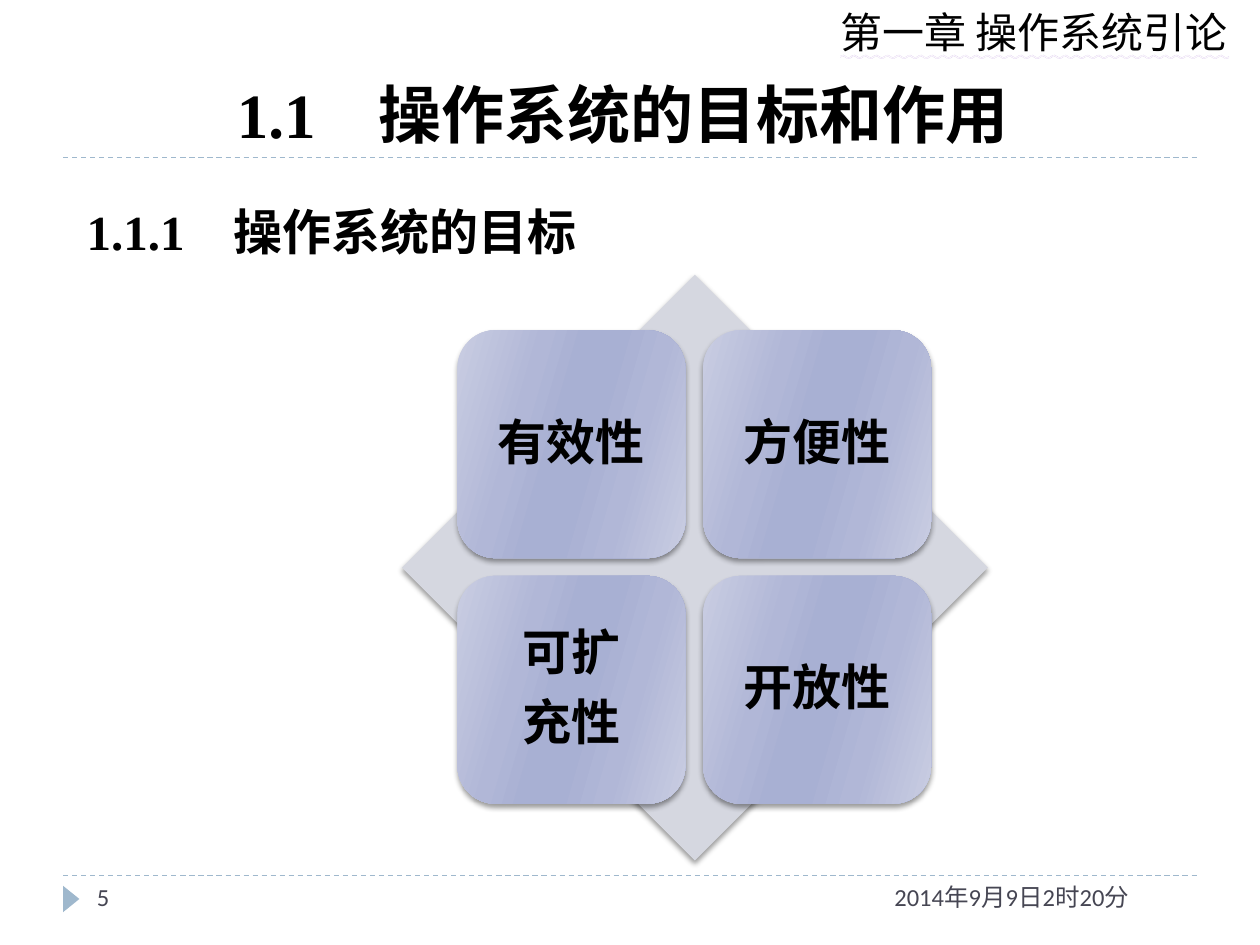
from itertools import product

from pptx import Presentation
from pptx.dml.color import RGBColor
from pptx.enum.dml import MSO_LINE_DASH_STYLE as Dash
from pptx.enum.shapes import MSO_CONNECTOR, MSO_SHAPE as Shape
from pptx.enum.text import (
    MSO_ANCHOR as Anchor,
    MSO_AUTO_SIZE as AutoSize,
    MSO_TEXT_UNDERLINE_TYPE as Underline,
    PP_ALIGN as Align,
)
from pptx.oxml import parse_xml
from pptx.oxml.ns import nsdecls, qn
from pptx.util import Inches, Pt

COLORS = {
    "ink": "000000", "footer": "464653", "rule": "9FB8CD", "diamond": "D5D7E0",
    "edge": "C9CDE2", "mid": "B1B7D7", "core": "A8B0D3", "wave": "CDB0E6",
}
TILE_STOPS = [(0, "edge"), (30, "mid"), (45, "core"),
              (55, "core"), (73, "mid"), (100, "edge")]
FORMATS = {
    "chapter": {"size": Pt(24), "name": "Calibri", "underline": Underline.WAVY_DOUBLE_LINE},
    "number": {"size": Pt(36), "name": "Times New Roman", "bold": True},
    "heading": {"size": Pt(36), "name": "TeX Gyre Bonum", "bold": True},
    "section": {"size": Pt(28), "name": "Times New Roman", "bold": True},
    "goal": {"size": Pt(28), "name": "Calibri", "bold": True},
    "footer": {"size": Pt(14), "name": "Calibri"},
}
GOAL_PARAGRAPH = {"alignment": Align.CENTER, "line_spacing": 0.9, "space_after": Pt(9.8)}
GOAL_FRAME = {"word_wrap": True, "vertical_anchor": Anchor.MIDDLE,
              **{f"margin_{side}": Inches(0.12) for side in ("left", "top", "right", "bottom")}}


def apply(target, values):
    for attribute, value in values.items():
        setattr(target, attribute, value)


class SlideBuilder:
    """Holds the style and the slide being built."""

    def __init__(self, slide):
        self.slide = slide

    def color(self, key):
        return RGBColor.from_string(COLORS[key])

    def run(self, paragraph, words, style, color="ink"):
        run = paragraph.add_run()
        run.text = words
        apply(run.font, FORMATS[style])
        run.font.color.rgb = self.color(color)
        return run

    def title(self, box, parts):
        title = self.slide.shapes.title
        apply(title, dict(zip(("left", "top", "width", "height"), map(Inches, box))))
        apply(title.text_frame, {"auto_size": AutoSize.NONE, "word_wrap": True,
                                 "vertical_anchor": Anchor.BOTTOM})
        heading = title.text_frame.paragraphs[0]
        heading.alignment = Align.CENTER
        for words, style in parts:
            self.run(heading, words, style)

    def text(self, box, words, style, color="ink"):
        frame = self.slide.shapes.add_textbox(*map(Inches, box)).text_frame
        frame.word_wrap = True
        return self.run(frame.paragraphs[0], words, style, color)

    def wave(self, run):
        run.font._element.find(qn("a:latin")).addprevious(parse_xml(
            f'<a:uFill {nsdecls("a")}><a:solidFill><a:srgbClr val="{COLORS["wave"]}"/>'
            '</a:solidFill></a:uFill>'))

    def rule(self, y):
        rule = self.slide.shapes.add_connector(
            MSO_CONNECTOR.STRAIGHT, Inches(0.5), Inches(y), Inches(9.5), Inches(y))
        apply(rule.line, {"width": Pt(0.75), "dash_style": Dash.DASH})
        rule.line.color.rgb = self.color("rule")
        rule._element.spPr.append(parse_xml(f'<a:effectLst {nsdecls("a")}/>'))

    def shape(self, preset, box, color, rotation=0):
        shape = self.slide.shapes.add_shape(preset, *map(Inches, box))
        shape.rotation = rotation
        shape.shadow.inherit = False
        shape.fill.solid()
        shape.fill.fore_color.rgb = self.color(color)
        shape.line.fill.background()
        return shape

    def shadow(self, shape):
        shape._element.spPr.find(qn("a:effectLst")).append(parse_xml(
            f'<a:outerShdw {nsdecls("a")} blurRad="{Pt(3)}" dist="{Pt(2)}" dir="5400000" '
            'rotWithShape="0"><a:srgbClr val="000000"><a:alpha val="40000"/></a:srgbClr>'
            '</a:outerShdw>'))

    def tile(self, box, lines):
        tile = self.shape(Shape.ROUNDED_RECTANGLE, box, "core")
        self.shadow(tile)
        tile.fill.gradient()
        tile.fill.gradient_angle = 344
        stops = tile._element.spPr.find(".//" + qn("a:gsLst"))
        for stop in list(stops):
            stops.remove(stop)
        for percent, key in TILE_STOPS:
            stops.append(parse_xml(
                f'<a:gs {nsdecls("a")} pos="{percent * 1000}">'
                f'<a:srgbClr val="{COLORS[key]}"/></a:gs>'))
        frame = tile.text_frame
        apply(frame, GOAL_FRAME)
        for index, words in enumerate(lines):
            paragraph = frame.add_paragraph() if index else frame.paragraphs[0]
            apply(paragraph, GOAL_PARAGRAPH)
            self.run(paragraph, words, "goal")


def main():
    deck = Presentation()
    apply(deck, {"slide_width": Inches(10), "slide_height": Inches(7.5)})
    builder = SlideBuilder(deck.slides.add_slide(deck.slide_layouts[5]))

    for y in (6.95, 1.25):
        builder.rule(y)
    builder.shape(Shape.ISOSCELES_TRIANGLE, (0.46, 7.07, 0.21, 0.13), "rule", 90)
    builder.wave(builder.text((6.57, 0, 3.4, 0.5), "第一章 操作系统引论", "chapter"))
    builder.title((0.5, 0.52, 9, 0.73),
                  [("1.1　", "number"), ("操作系统的目标和作用 ", "heading")])
    builder.text((7, 6.95, 2.5, 0.4), "2014年9月9日2时20分", "footer", "footer")
    builder.text((0.67, 6.95, 2.17, 0.4), "5", "footer", "footer")

    builder.shadow(builder.shape(Shape.DIAMOND, (3.19, 2.18, 4.65, 4.65), "diamond"))
    goals = [["有效性"], ["方便性"], ["可扩", "充性"], ["开放性"]]
    side, pitch = 1.81, 1.95
    for (row, column), lines in zip(product(range(2), repeat=2), goals):
        builder.tile((3.63 + column * pitch, 2.62 + row * pitch, side, side), lines)
    builder.text((0.59, 1.55, 4.14, 0.57), "1.1.1　操作系统的目标", "section")

    deck.save("out.pptx")


if __name__ == "__main__":
    main()
